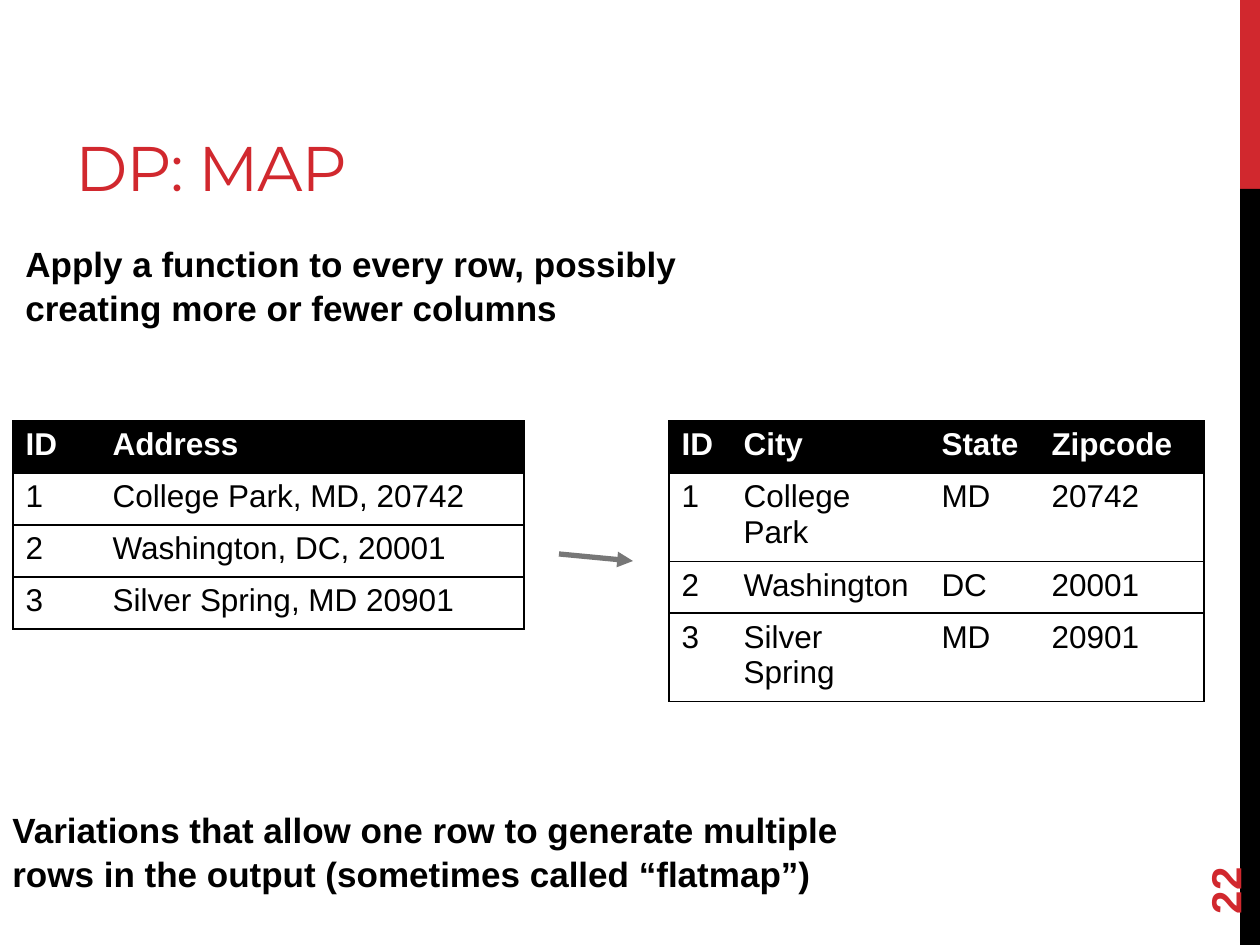
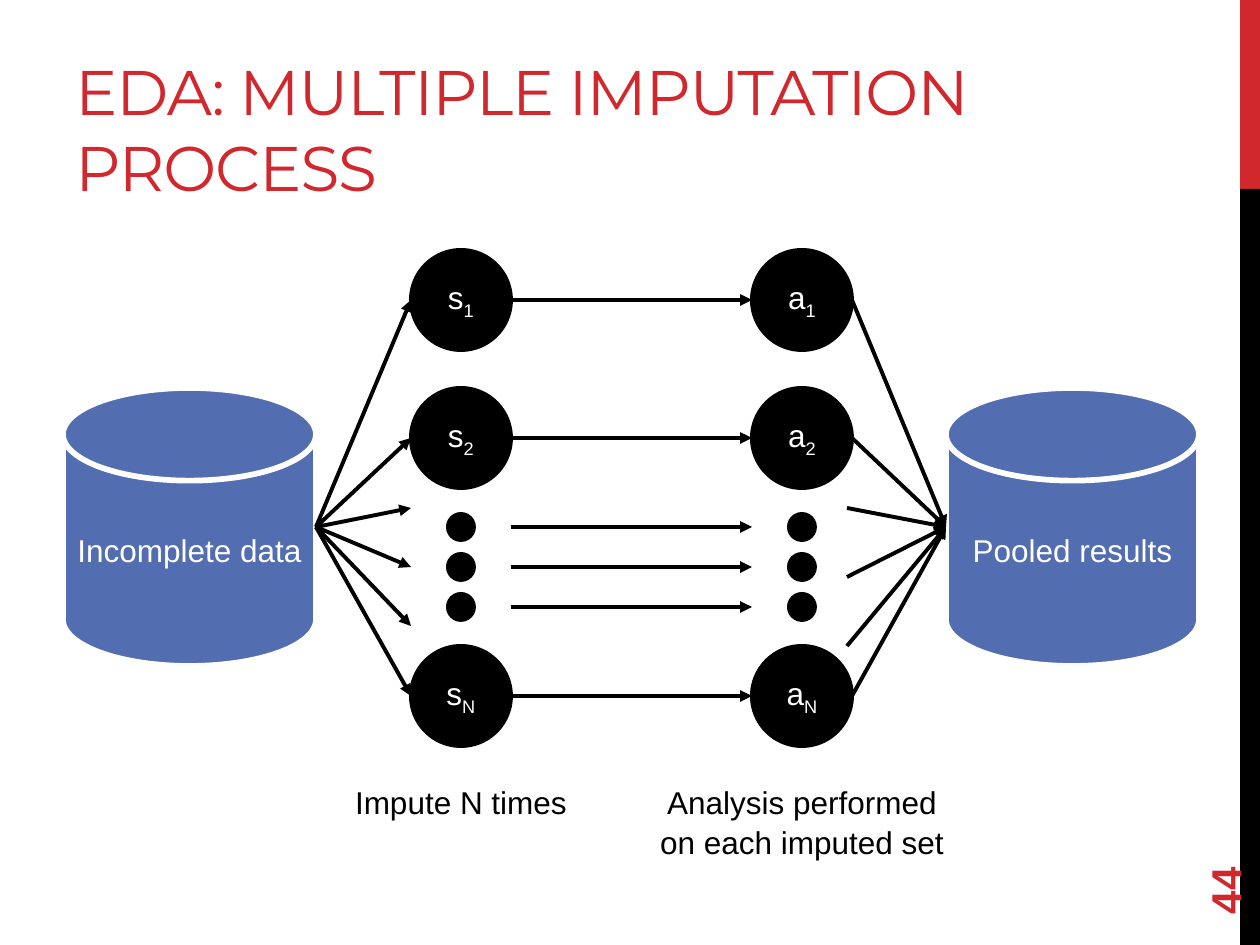
from dataclasses import dataclass

from lxml.etree import SubElement
from pptx import Presentation
from pptx.dml.color import RGBColor
from pptx.enum.shapes import MSO_CONNECTOR as Connector, MSO_SHAPE as Shape
from pptx.enum.text import MSO_ANCHOR as Anchor, PP_ALIGN as Align
from pptx.oxml.ns import qn
from pptx.util import Pt

EMU_PER_PX = 914400 / 126
PAGE_WIDTH, PAGE_HEIGHT = 1260, 945

RED = RGBColor(0xD1, 0x28, 0x2E)
BLACK = RGBColor(0x00, 0x00, 0x00)
WHITE = RGBColor(0xFF, 0xFF, 0xFF)
GRAY = RGBColor(0x77, 0x77, 0x77)
BLUE = RGBColor(0x52, 0x6D, 0xB0)


@dataclass
class Style:
    size: int
    color: RGBColor = BLACK
    bold: bool = False
    font: str = "Arial"
    align: Align = Align.LEFT
    line_spacing: float = 1.0
    tracking: int = 0


TITLE = Style(36, RED, font="Montserrat", tracking=-60)
PAGE_NUMBER = Style(24, RED, bold=True)
STATEMENT = Style(20, bold=True, line_spacing=1.05)
CAPTION = Style(18, align=Align.CENTER, line_spacing=1.05)
SHAPE_LABEL = Style(18, WHITE, align=Align.CENTER)
HEADER_CELL = Style(18, WHITE, bold=True)
BODY_CELL = Style(18)


def px(*lengths):
    return [round(length * EMU_PER_PX) for length in lengths]


def add_span(para, text, style, subscript=False):
    span = para.add_run()
    span.text = text
    span.font.name = style.font
    span.font.size = Pt(style.size)
    span.font.bold = style.bold
    span.font.color.rgb = style.color
    properties = span._r.get_or_add_rPr()
    if style.tracking:
        properties.set("spc", str(style.tracking))
    if subscript:
        properties.set("baseline", "-25000")


def write(frame, style, text, subscript=""):
    para = frame.paragraphs[0]
    para.alignment = style.align
    para.line_spacing = style.line_spacing
    add_span(para, text, style)
    if subscript:
        add_span(para, subscript, style, subscript=True)


def add_label(page, bounds, text, style, anchor=Anchor.TOP):
    box = page.shapes.add_textbox(*px(*bounds))
    box.text_frame.word_wrap = True
    box.text_frame.vertical_anchor = anchor
    write(box.text_frame, style, text)
    return box


def add_filled(page, kind, bounds, fill, line=None, weight=0):
    shape = page.shapes.add_shape(kind, *px(*bounds))
    shape.shadow.inherit = False
    shape.fill.solid()
    shape.fill.fore_color.rgb = fill
    if line is None:
        shape.line.fill.background()
    else:
        shape.line.color.rgb = line
        shape.line.width = Pt(weight)
    return shape


def add_arrow(page, start, end, color=BLACK, weight=2.25):
    arrow = page.shapes.add_connector(Connector.STRAIGHT, *px(*start, *end))
    arrow.line.color.rgb = color
    arrow.line.width = Pt(weight)
    properties = arrow._element.spPr
    SubElement(properties.find(qn("a:ln")), qn("a:tailEnd"), type="triangle")
    SubElement(properties, qn("a:effectLst"))


def add_page(deck, title, title_width, number):
    page = deck.slides.add_slide(deck.slide_layouts[6])
    for top, height, color in ((0, 189, RED), (189, 756, BLACK)):
        add_filled(page, Shape.RECTANGLE, (1240, top, 20, height), color)
    add_label(page, (63, 21, title_width, 189), title, TITLE, Anchor.BOTTOM)
    box = add_label(page, (1134, 811, 181, 50), number, PAGE_NUMBER, Anchor.MIDDLE)
    box.rotation = 270
    return page


def set_borders(cell, is_first, is_last):
    properties = cell._tc.get_or_add_tcPr()
    edges = {"a:lnL": is_first, "a:lnR": is_last, "a:lnT": True, "a:lnB": True}
    for tag, visible in edges.items():
        border = SubElement(properties, qn(tag), w=str(Pt(1)))
        if visible:
            fill = SubElement(border, qn("a:solidFill"))
            SubElement(fill, qn("a:srgbClr"), val=str(BLACK))
        else:
            SubElement(border, qn("a:noFill"))


def add_grid(page, left, top, widths, heights, rows):
    bounds = px(left, top, sum(widths), sum(heights))
    table = page.shapes.add_table(len(rows), len(widths), *bounds).table
    for column, width in zip(table.columns, px(*widths)):
        column.width = width
    for row, height in zip(table.rows, px(*heights)):
        row.height = height
    for row_index, values in enumerate(rows):
        is_header = row_index == 0
        for column_index, value in enumerate(values):
            cell = table.cell(row_index, column_index)
            set_borders(cell, column_index == 0, column_index == len(widths) - 1)
            cell.fill.solid()
            cell.fill.fore_color.rgb = BLACK if is_header else WHITE
            write(cell.text_frame, HEADER_CELL if is_header else BODY_CELL, value)


def add_disk(page, left, text):
    disk = add_filled(page, Shape.FLOWCHART_MAGNETIC_DISK, (left, 388, 253, 278), BLUE, WHITE, 3.25)
    disk.text_frame.word_wrap = True
    disk.text_frame.vertical_anchor = Anchor.MIDDLE
    write(disk.text_frame, SHAPE_LABEL, text)


def add_circle(page, center_x, center_y, diameter):
    bounds = (center_x - diameter // 2, center_y - diameter // 2, diameter, diameter)
    return add_filled(page, Shape.OVAL, bounds, BLACK, BLACK, 2.25)


def add_node_column(page, center_x, letter, node_rows, dot_rows):
    for subscript, center_y in node_rows.items():
        node = add_circle(page, center_x, center_y, 100)
        node.text_frame.word_wrap = False
        node.text_frame.vertical_anchor = Anchor.MIDDLE
        write(node.text_frame, SHAPE_LABEL, letter, subscript)
    for center_y in dot_rows:
        add_circle(page, center_x, center_y, 26)


def build_map_page(deck):
    page = add_page(deck, "DP: MAP", 897, "22")
    add_label(page, (13, 234, 713, 103),
              "Apply a function to every row, possibly creating more or fewer columns", STATEMENT)
    add_grid(page, 13, 421, (87, 424), (52, 52, 52, 52), (
        ("ID", "Address"),
        ("1", "College Park, MD, 20742"),
        ("2", "Washington, DC, 20001"),
        ("3", "Silver Spring, MD 20901"),
    ))
    add_label(page, (0, 800, 882, 97),
              "Variations that allow one row to generate multiple rows in the output "
              "(sometimes called “flatmap”)", STATEMENT)
    add_grid(page, 669, 421, (62, 198, 110, 165), (52, 88, 52, 88), (
        ("ID", "City", "State", "Zipcode"),
        ("1", "College Park", "MD", "20742"),
        ("2", "Washington", "DC", "20001"),
        ("3", "Silver Spring", "MD", "20901"),
    ))
    add_arrow(page, (559, 554), (633, 561), GRAY, 3)


def build_imputation_page(deck):
    page = add_page(deck, "EDA: MULTIPLE IMPUTATION PROCESS", 1029, "44")
    node_rows = {"1": 300, "2": 438, "N": 696}
    dot_rows = [527 + 40 * step for step in range(3)]
    source, target = (316, 527), (946, 527)
    sample_x, analysis_x, radius = 461, 802, 50
    sample_left, sample_right = sample_x - radius, sample_x + radius
    analysis_left, analysis_right = analysis_x - radius, analysis_x + radius

    add_disk(page, 63, "Incomplete data")
    add_disk(page, 946, "Pooled results")
    for y in node_rows.values():
        add_arrow(page, (analysis_right, y), target)
    for step in range(3):
        add_arrow(page, (analysis_right - 5, 508 + 69 * step), target)

    add_node_column(page, sample_x, "s", node_rows, dot_rows)
    for y in (*node_rows.values(), *(508 + 59 * step for step in range(3))):
        add_arrow(page, source, (sample_left, y))

    add_node_column(page, analysis_x, "a", node_rows, dot_rows)
    for y in (*node_rows.values(), *dot_rows):
        add_arrow(page, (sample_right, y), (analysis_left, y))

    captions = ((sample_x, 50, "Impute N times"),
                (analysis_x, 89, "Analysis performed on each imputed set"))
    for center_x, height, text in captions:
        add_label(page, (center_x - 163, 775, 326, height), text, CAPTION)


def main():
    deck = Presentation()
    deck.slide_width, deck.slide_height = px(PAGE_WIDTH, PAGE_HEIGHT)
    build_map_page(deck)
    build_imputation_page(deck)
    deck.save("out.pptx")


if __name__ == "__main__":
    main()
